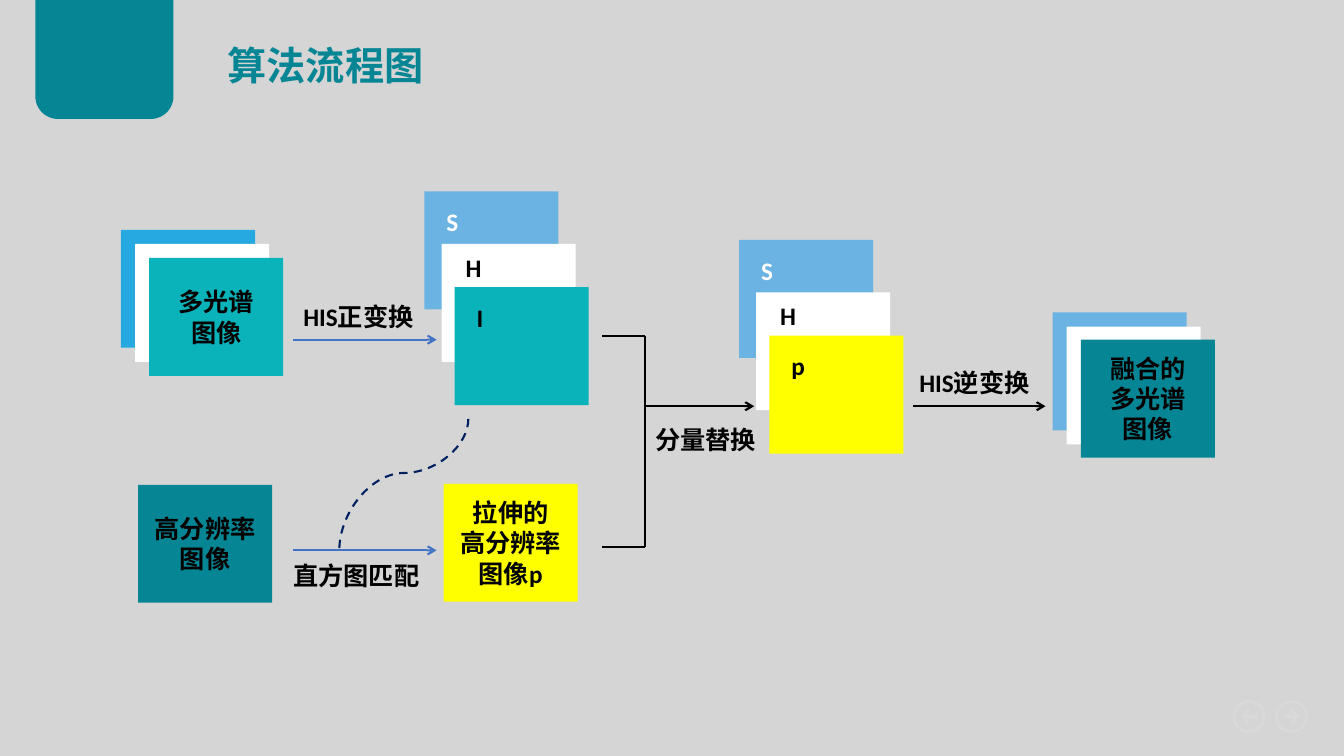
from lxml import etree
from pptx import Presentation
from pptx.dml.color import RGBColor
from pptx.enum.dml import MSO_LINE
from pptx.enum.shapes import MSO_CONNECTOR, MSO_SHAPE
from pptx.enum.text import MSO_ANCHOR, PP_ALIGN
from pptx.oxml.ns import qn
from pptx.util import Inches, Pt

COLORS = {
    "back": "D5D5D5", "deep": "068695", "teal": "0AB2BA", "sky": "6AB3E3",
    "azure": "26A9E0", "white": "FFFFFF", "black": "000000",
    "yellow": "FFFF00", "blue": "4472C4", "navy": "002060", "icon": "D9D9D9",
}
CARD = (1.33, 1.17)

# Image cards, back to front: left, top, fill, lines of text
CARDS = [
    (1.2, 2.28, "azure", ""), (1.34, 2.42, "white", ""),
    (1.48, 2.56, "teal", "多光谱\n图像"),
    (10.44, 3.1, "sky", ""), (10.58, 3.24, "white", ""),
    (10.72, 3.37, "deep", "融合的\n多光谱\n图像"),
    (1.37, 4.81, "deep", "高分辨率\n图像"),
    (4.4, 4.8, "yellow", "拉伸的\n高分辨率\n图像p"),
]

# Component stacks: left and top of each stack, fill and letter of its front card
STACKS = [(4.21, 1.9, "teal", "I"), (7.33, 2.38, "yellow", "p")]
STEPS = [(0, 0), (0.17, 0.52), (0.3, 0.95)]
TABS = [(0.12, 0.1), (0.14, 0.03), (0.12, 0.1)]

# Flow lines: from, to, colour, arrowhead
LINES = [
    ((2.91, 3.37), (4.33, 3.37), "blue", True),
    ((2.91, 5.46), (4.33, 5.46), "blue", True),
    ((6.4, 4.03), (7.48, 4.03), "black", True),
    ((5.97, 3.33), (6.4, 3.33), "black", False),
    ((5.97, 5.43), (6.4, 5.43), "black", False),
    ((6.4, 3.33), (6.4, 5.43), "black", False),
    ((9.06, 4.03), (10.37, 4.03), "black", True),
]

# Step names: text, left, top, width
LABELS = [
    ("HIS正变换", 2.91, 2.94, 1.4), ("直方图匹配", 2.81, 5.51, 1.51),
    ("分量替换", 6.4, 4.16, 1.21), ("HIS逆变换", 9.02, 3.59, 1.4),
]

# Page buttons: centre x and direction, with half the outline of an arrow
BUTTONS = [(12.39, -1), (12.81, 1)]
MID, RING = 7.11, 0.33
ARROW = [(0.08, 0), (0.01, 0.08), (-0.01, 0.06), (0.03, 0.02), (-0.08, 0.02)]

prs = Presentation()
prs.slide_width, prs.slide_height = Inches(13.33), Inches(7.5)
slide = prs.slides.add_slide(prs.slide_layouts[6])
shapes = slide.shapes


def rgb(name):
    return RGBColor.from_string(COLORS[name])


def paint(shape, fill):
    shape.shadow.inherit = False
    shape.fill.solid()
    shape.fill.fore_color.rgb = rgb(fill)
    shape.line.fill.background()
    return shape


def block(kind, x, y, w, h, fill):
    return paint(shapes.add_shape(kind, *map(Inches, (x, y, w, h))), fill)


def write(text, box=None, at=None, size=18, color="black", center=False):
    if box is None:
        box = shapes.add_textbox(*map(Inches, at))
    frame = box.text_frame
    frame.word_wrap = True
    frame.vertical_anchor = MSO_ANCHOR.MIDDLE if center else MSO_ANCHOR.TOP
    frame.text = text
    for para in frame.paragraphs:
        para.alignment = PP_ALIGN.CENTER if center else PP_ALIGN.LEFT
        font = para.runs[0].font
        font.name, font.size, font.bold = "Calibri", Pt(size), True
        font.color.rgb = rgb(color)


def link(start, end, color, kind=MSO_CONNECTOR.STRAIGHT):
    line = shapes.add_connector(kind, *map(Inches, start + end))
    line.line.color.rgb = rgb(color)
    line.line.width = Pt(1.5)
    etree.SubElement(line._element.spPr, qn("a:effectLst"))
    return line


# Background, corner tab and title
slide.background.fill.solid()
slide.background.fill.fore_color.rgb = rgb("back")
corner = block(MSO_SHAPE.ROUND_2_SAME_RECTANGLE, 0.35, 0, 1.37, 1.18, "deep")
corner.adjustments[0] = 0.19
corner.rotation = 180
write("算法流程图", at=(2.16, 0.36, 4.59, 0.57), size=28, color="deep")

# Image cards
for x, y, fill, text in CARDS:
    card = block(MSO_SHAPE.RECTANGLE, x, y, *CARD, fill)
    if text:
        write(text, box=card, center=True)

# Component stacks
for left, top, front, mark in STACKS:
    layers = [("sky", "S", "white"), ("white", "H", "black"), (front, mark, "black")]
    for (dx, dy), (tx, ty), (fill, text, ink) in zip(STEPS, TABS, layers):
        x, y = left + dx, top + dy
        block(MSO_SHAPE.RECTANGLE, x, y, *CARD, fill)
        write(text, at=(x + tx, y + ty, 0.31, 0.4), color=ink)

# Flow lines
for start, end, color, head in LINES:
    line = link(start, end, color)
    if head:
        etree.SubElement(line.line._get_or_add_ln(), qn("a:tailEnd"), type="arrow")

# Dashed curve, turned to run downwards
curve = link((3.35, 4.17), (4.66, 5.45), "navy", MSO_CONNECTOR.CURVE)
curve.line.dash_style = MSO_LINE.DASH
props = curve._element.spPr
props.find(qn("a:xfrm")).set("rot", "5400000")
guides = props.find(qn("a:prstGeom")).find(qn("a:avLst"))
etree.SubElement(guides, qn("a:gd"), name="adj1", fmla="val 41000")

# Step names
for text, x, y, w in LABELS:
    write(text, at=(x, y, w, 0.4))

# Page buttons
outline = ARROW + [(x, -y) for x, y in reversed(ARROW[1:])]
for mid, way in BUTTONS:
    ring = block(MSO_SHAPE.DONUT, mid - RING / 2, MID - RING / 2, RING, RING, "icon")
    ring.adjustments[0] = 0.09
    points = [(Inches(mid + way * x), Inches(MID + y)) for x, y in outline]
    pen = shapes.build_freeform(*points[0])
    pen.add_line_segments(points[1:], close=True)
    paint(pen.convert_to_shape(), "icon")

prs.save("out.pptx")
